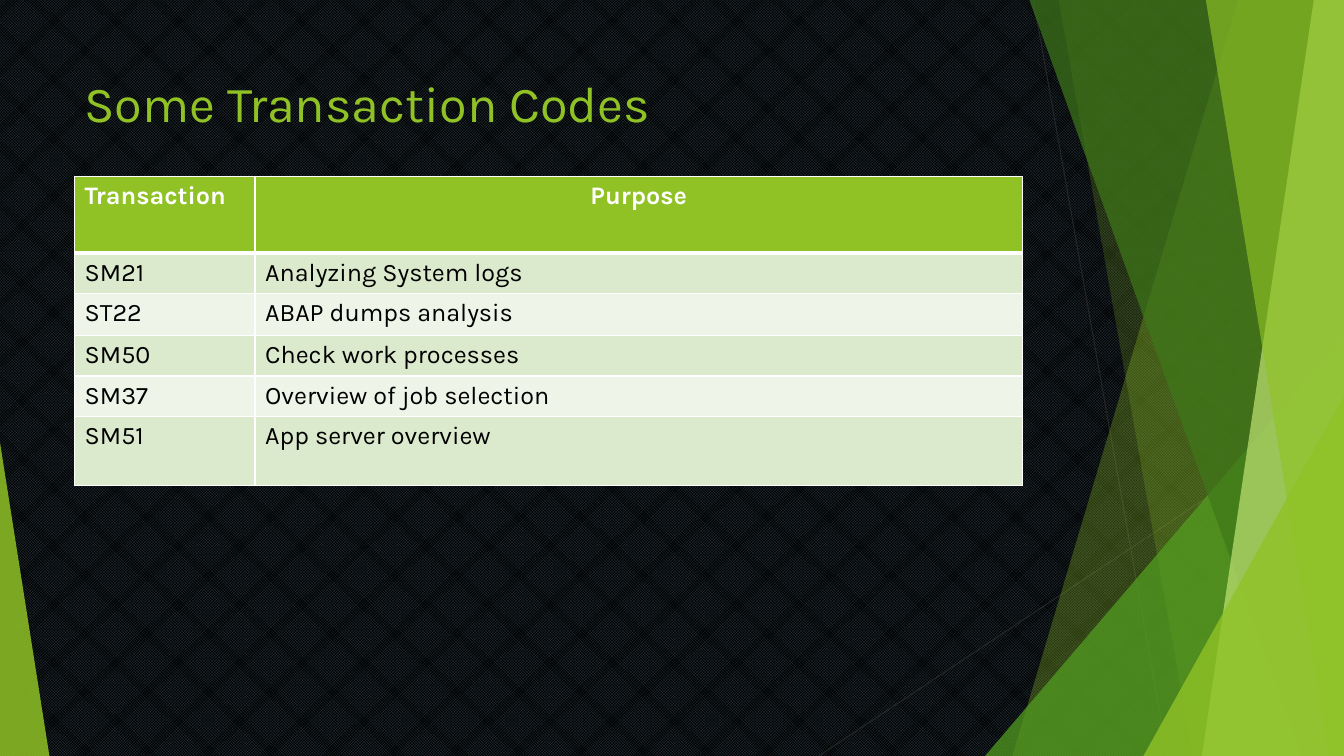
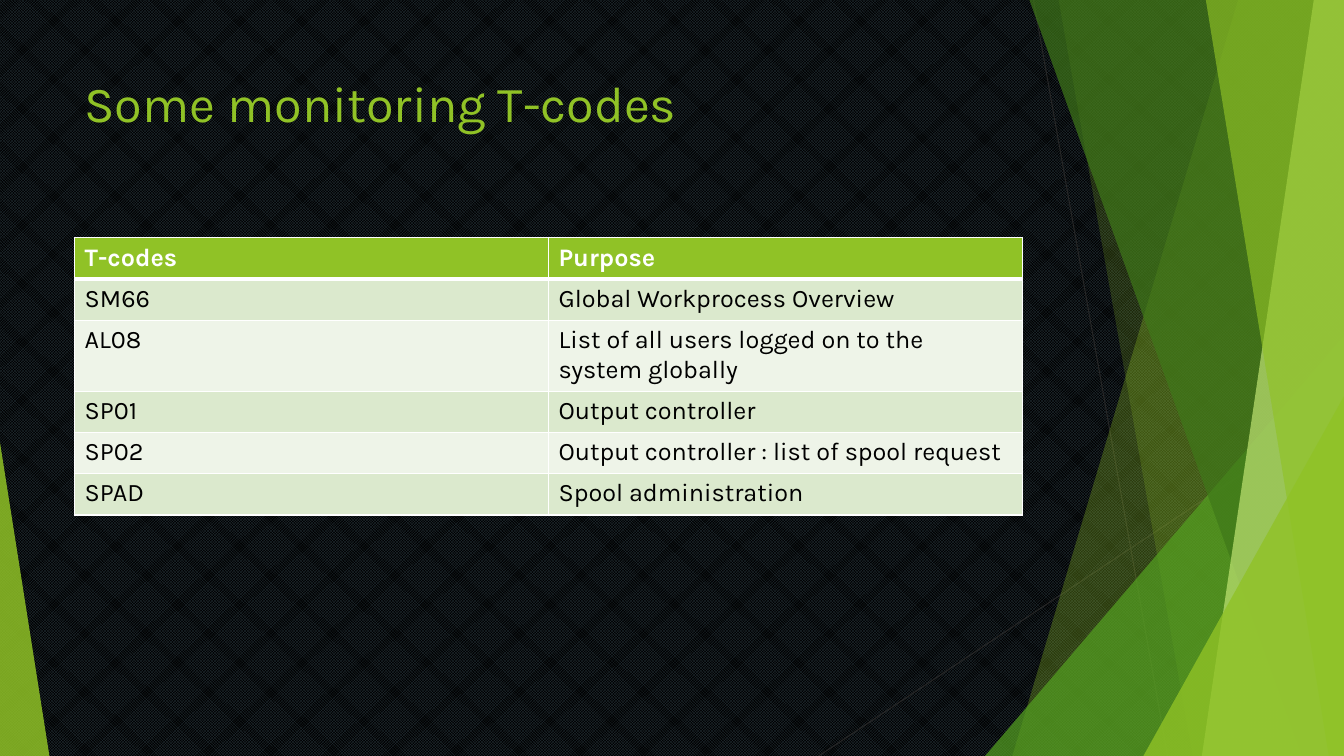
from lxml.etree import SubElement
from pptx import Presentation
from pptx.dml.color import RGBColor
from pptx.enum.dml import MSO_PATTERN
from pptx.enum.shapes import MSO_CONNECTOR, MSO_SHAPE
from pptx.enum.text import MSO_ANCHOR, PP_ALIGN
from pptx.oxml import parse_xml
from pptx.oxml.ns import nsdecls, qn
from pptx.util import Pt

PX = 9144  # EMU per px, 100 px to the inch
W, H = 1333, 750
LEFT, WIDTH = 74, 940
FONT = "Karla"

COLORS = {
    "lime": "90C226", "green": "54A021", "forest": "3F7819", "pale": "C0E474",
    "line": "262626", "slate": "2C3C43", "black": "000000", "white": "FFFFFF",
    "band_dark": "DBE9CD", "band_light": "EEF4E8",
}
TITLE = {"name": FONT, "size": Pt(36), "color": "lime"}
HEADER = {"name": FONT, "size": Pt(18), "bold": True, "color": "white"}
BODY = {"name": FONT, "size": Pt(18), "bold": False, "color": "black"}

# Content
SLIDES = [
    {
        "title": "Some Transaction Codes",
        "top": 175, "cols": [179, 761], "heights": [76, 39, 42, 40, 39, 69],
        "header_align": [PP_ALIGN.LEFT, PP_ALIGN.CENTER],
        "rows": [
            ("Transaction", "Purpose"),
            ("SM21", "Analyzing System logs"),
            ("ST22", "ABAP dumps analysis"),
            ("SM50", "Check work processes"),
            ("SM37", "Overview of job selection"),
            ("SM51", "App server overview"),
        ],
    },
    {
        "title": "Some monitoring T-codes",
        "top": 236, "cols": [470, 470], "heights": [41, 41, 69, 41, 41, 41],
        "header_align": [PP_ALIGN.LEFT, PP_ALIGN.LEFT],
        "rows": [
            ("T-codes", "Purpose"),
            ("SM66", "Global Workprocess Overview"),
            ("AL08", "List of all users logged on to the system globally"),
            ("SP01", "Output controller"),
            ("SP02", "Output controller : list of spool request"),
            ("SPAD", "Spool administration"),
        ],
    },
]

# Backdrop, back to front
LINES = [(1025, 0, 1158, H), (W, 403, 812, H)]
FACETS = [  # bands: top and bottom x of the slanted edge; triangles: box, apex
    ("band", (1228, 1004), "lime", 30),
    ("band", (1050, 1183), "lime", 20),
    ("triangle", (977, 333, 356, 417, 1), "green", 72),
    ("band", (1021, 1291), "forest", 70),
    ("band", (1303, 1192), "pale", 70),
    ("band", (1196, 1318), "lime", 65),
    ("triangle", (1134, 393, 199, 357, 1), "lime", 80),
    ("triangle", (0, 439, 49, 311, 0), "lime", 85),
]


def px(*values):
    return [v * PX for v in values]


def rgb(name):
    return RGBColor.from_string(COLORS[name])


def style_run(r, fmt):
    for key, value in fmt.items():
        if key == "color":
            r.font.color.rgb = rgb(value)
        else:
            setattr(r.font, key, value)


def add_backdrop(s):
    fill = s.background.fill
    fill.patterned()
    fill.pattern = MSO_PATTERN.SMALL_CHECKER_BOARD
    fill.fore_color.rgb, fill.back_color.rgb = rgb("slate"), rgb("black")
    for ends in LINES:
        line = s.shapes.add_connector(MSO_CONNECTOR.STRAIGHT, *px(*ends))
        line.line.color.rgb = rgb("line")
        line.line.width = Pt(0.75)
        SubElement(line._element.spPr, qn("a:effectLst"))
    for kind, geometry, color, opacity in FACETS:
        if kind == "band":
            top_x, bottom_x = geometry
            outline = s.shapes.build_freeform(top_x, 0, scale=PX)
            outline.add_line_segments([(W, 0), (W, H), (bottom_x, H)])
            sp = outline.convert_to_shape()
        else:
            *box, apex = geometry
            sp = s.shapes.add_shape(MSO_SHAPE.ISOSCELES_TRIANGLE, *px(*box))
            sp.adjustments[0] = apex
        sp.shadow.inherit = False
        sp.line.fill.background()
        sp.fill.solid()
        sp.fill.fore_color.rgb = rgb(color)
        clr = sp._element.spPr.find(qn("a:solidFill"))[0]
        SubElement(clr, qn("a:alpha"), val=str(opacity * 1000))


def add_title(s, text):
    tf = s.shapes.add_textbox(*px(LEFT, 67, WIDTH, 144)).text_frame
    tf.word_wrap = True
    tf.vertical_anchor = MSO_ANCHOR.TOP
    r = tf.paragraphs[0].add_run()
    r.text = text
    style_run(r, TITLE)


def set_borders(cell, widths):
    tcPr = cell._tc.get_or_add_tcPr()
    for i, (side, width) in enumerate(widths.items()):
        tcPr.insert(i, parse_xml(
            f'<a:ln{side} {nsdecls("a")} w="{Pt(width)}"><a:solidFill>'
            f'<a:srgbClr val="{COLORS["white"]}"/></a:solidFill></a:ln{side}>'))


def add_code_table(s, data):
    rows, cols, heights = data["rows"], data["cols"], data["heights"]
    box = px(LEFT, data["top"], WIDTH, sum(heights))
    table = s.shapes.add_table(len(rows), len(cols), *box).table
    for column, width in zip(table.columns, cols):
        column.width = width * PX
    for i, (row, height) in enumerate(zip(rows, heights)):
        table.rows[i].height = height * PX
        band = "lime" if i == 0 else "band_dark" if i % 2 else "band_light"
        for j, text in enumerate(row):
            cell = table.cell(i, j)
            cell.fill.solid()
            cell.fill.fore_color.rgb = rgb(band)
            set_borders(cell, {"L": 1, "R": 1, "T": 3 if i == 1 else 1,
                               "B": 3 if i == 0 else 1})
            p = cell.text_frame.paragraphs[0]
            p.alignment = PP_ALIGN.LEFT if i else data["header_align"][j]
            r = p.add_run()
            r.text = text
            style_run(r, BODY if i else HEADER)


def main():
    prs = Presentation()
    prs.slide_width, prs.slide_height = px(W, H)
    for data in SLIDES:
        s = prs.slides.add_slide(prs.slide_layouts[6])
        add_backdrop(s)
        add_title(s, data["title"])
        add_code_table(s, data)
    prs.save("out.pptx")


if __name__ == "__main__":
    main()
